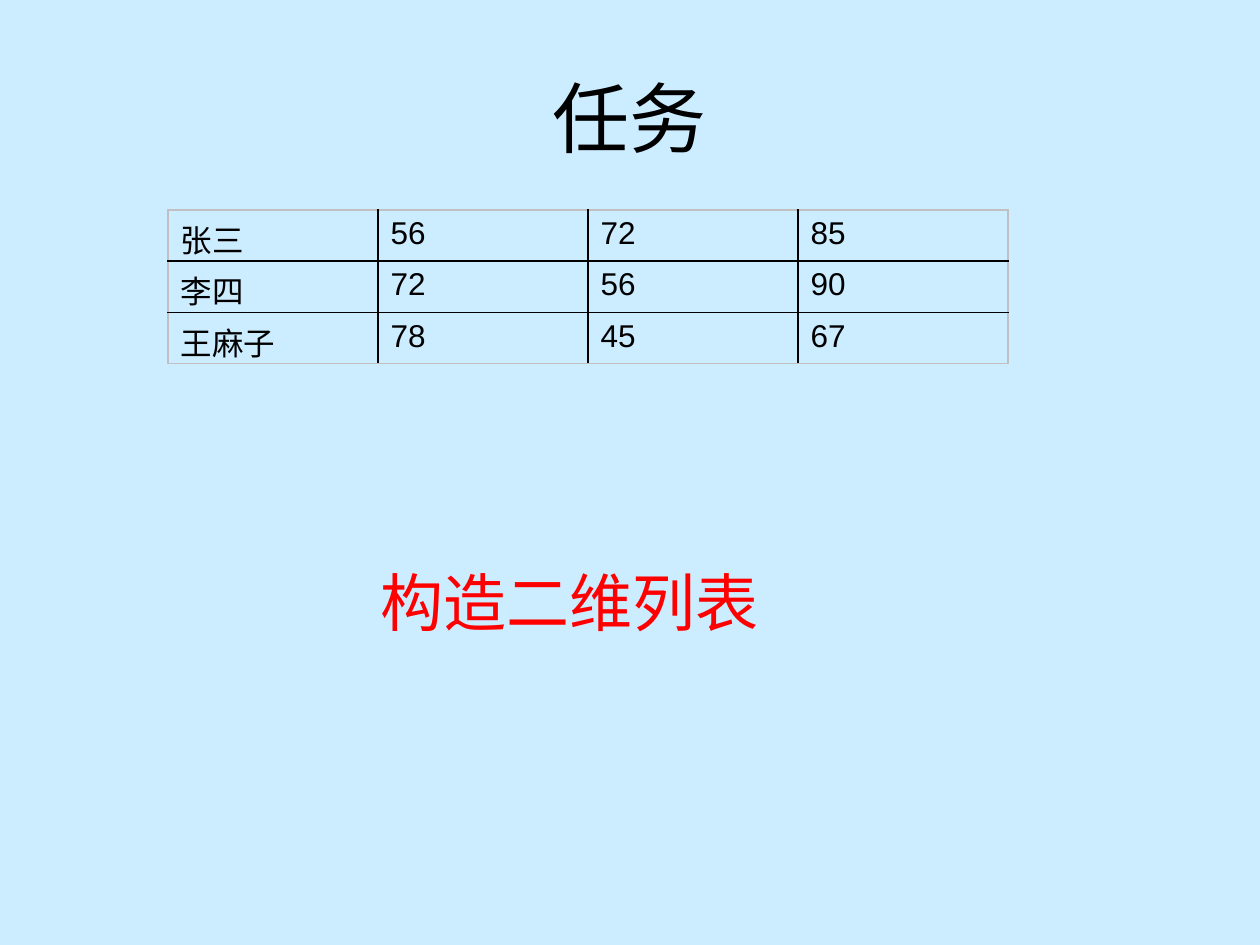
from lxml import etree
from pptx import Presentation, util as u
from pptx.dml.color import RGBColor
from pptx.enum import text
from pptx.oxml.ns import qn

# Content
TITLE = "任务"
ROWS = [
    ("张三", 56, 72, 85),
    ("李四", 72, 56, 90),
    ("王麻子", 78, 45, 67),
]
NOTE = "构造二维列表"

THEME = {
    "back": "CCECFF", "ink": "000000", "red": "FF0000", "edge": "C0C0C0",
    "font": "Arial", "serif": "TeX Gyre Bonum",
    "title": 44, "cell": 18, "note": 36, "line": 1,
}

# Layout in centimetres: left, top, width, height
HEAD = (1.27, 0.76, 22.86, 3.18)
GRID = (3.39, 4.23, 16.93, 3.1)
FOOT = (7.42, 11.23, 8.2, 1.8)


def place(box):
    return [u.Cm(n) for n in box]


def write(frame, words, size, font="font", color="ink"):
    frame.text = str(words)
    for run in frame.paragraphs[0].runs:
        run.font.size = u.Pt(THEME[size])
        run.font.name = THEME[font]
        run.font.color.rgb = RGBColor.from_string(THEME[color])


def border(cell, side, color):
    line = etree.SubElement(cell._tc.get_or_add_tcPr(), qn(f"a:ln{side}"),
                            w=str(u.Pt(THEME["line"])))
    fill = etree.SubElement(line, qn("a:solidFill"))
    etree.SubElement(fill, qn("a:srgbClr"), val=THEME[color])


deck = Presentation()
deck.slide_width, deck.slide_height = u.Cm(25.4), u.Cm(19.05)
slide = deck.slides.add_slide(deck.slide_layouts[6])
slide.background.fill.solid()
slide.background.fill.fore_color.rgb = RGBColor.from_string(THEME["back"])

# Title
head = slide.shapes.add_textbox(*place(HEAD)).text_frame
head.word_wrap = True
head.vertical_anchor = text.MSO_ANCHOR.MIDDLE
write(head, TITLE, "title")
head.paragraphs[0].alignment = text.PP_ALIGN.CENTER

# Score table: grey outer edges, black inner lines
high, wide = len(ROWS), len(ROWS[0])
table = slide.shapes.add_table(high, wide, *place(GRID)).table
table.first_row = table.horz_banding = False
for r, row in enumerate(ROWS):
    for c, value in enumerate(row):
        cell = table.cell(r, c)
        write(cell.text_frame, value, "cell")
        outer = {"L": c == 0, "R": c == wide - 1,
                 "T": r == 0, "B": r == high - 1}
        for side, edge in outer.items():
            border(cell, side, "edge" if edge else "ink")
        cell.fill.background()

# Task note
foot = slide.shapes.add_textbox(*place(FOOT)).text_frame
foot.word_wrap = False
foot.auto_size = text.MSO_AUTO_SIZE.SHAPE_TO_FIT_TEXT
write(foot, NOTE, "note", "serif", "red")

deck.save("out.pptx")
